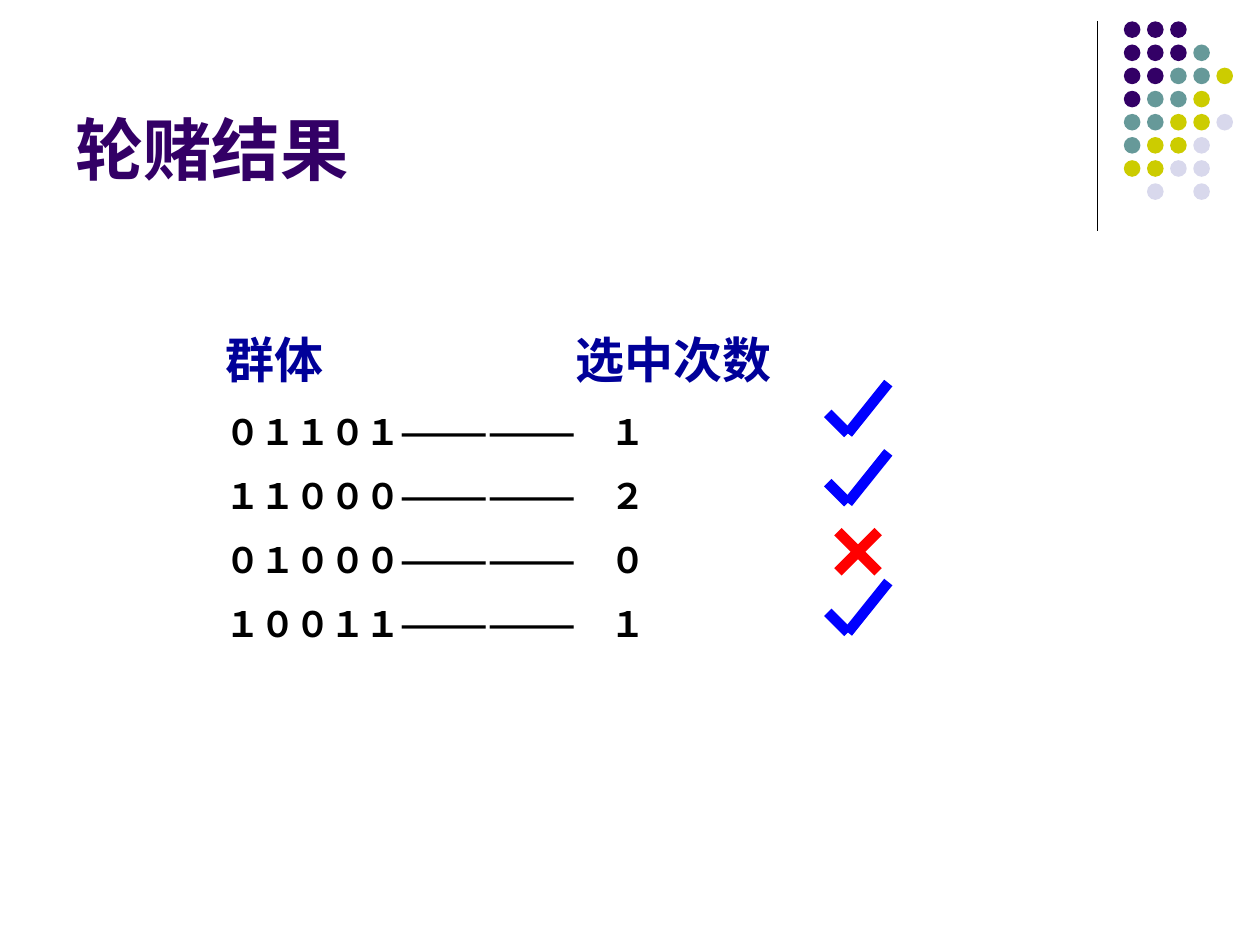
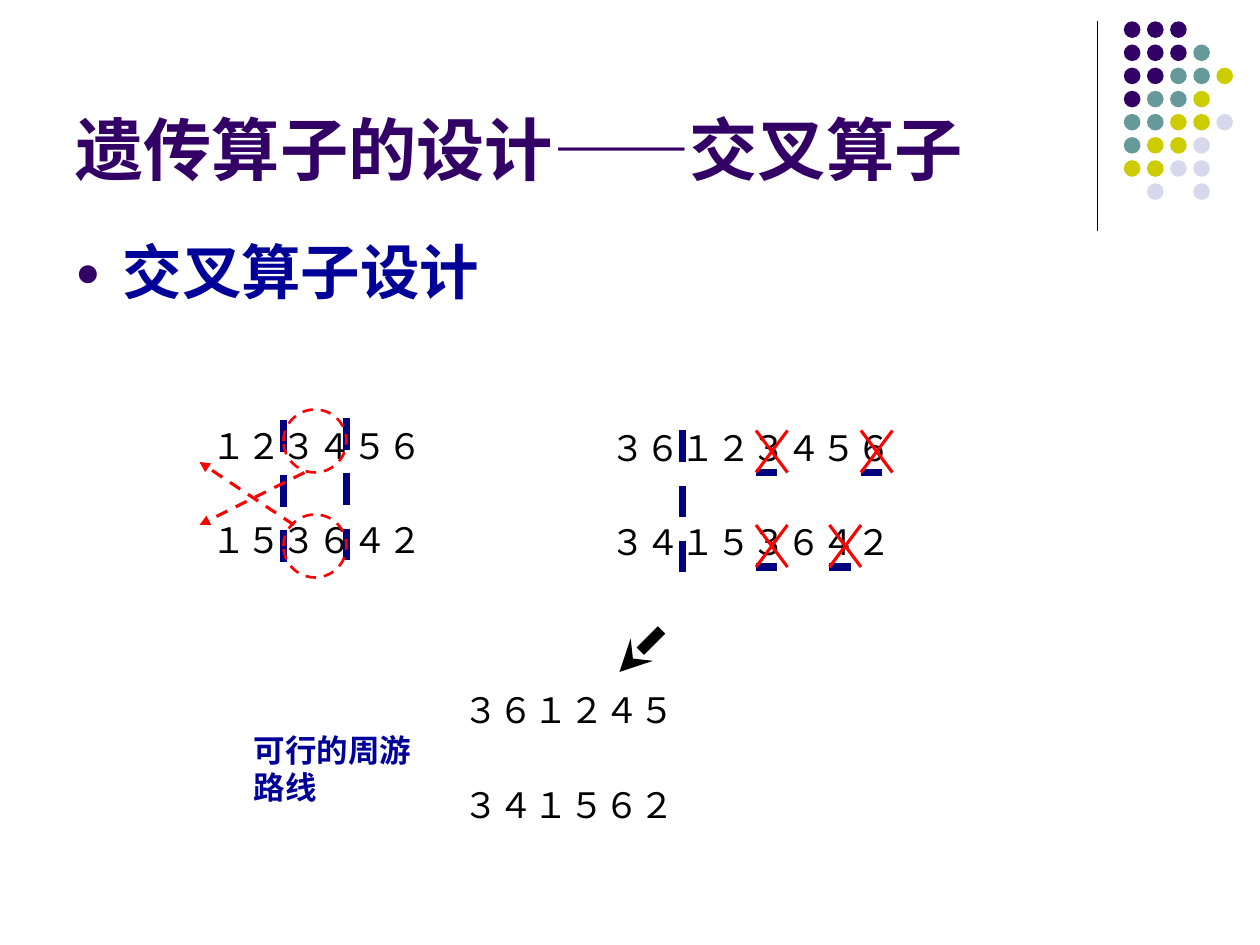
from dataclasses import dataclass
from lxml.etree import SubElement
from pptx import Presentation
from pptx.dml.color import RGBColor
from pptx.enum.dml import MSO_LINE
from pptx.enum.lang import MSO_LANGUAGE_ID
from pptx.enum.shapes import MSO_CONNECTOR, MSO_SHAPE
from pptx.enum.text import MSO_ANCHOR
from pptx.oxml.ns import qn
from pptx.util import Pt


@dataclass(frozen=True)
class Theme:
    font: str = "Arial"
    purple: str = "330066"
    teal: str = "669999"
    olive: str = "CCCC00"
    lilac: str = "D8D8EC"
    navy: str = "000099"
    divider: str = "000080"
    blue: str = "0000FF"
    red: str = "FF0000"
    black: str = "000000"
    title_size: int = 39
    body_size: int = 34
    header_size: int = 28
    label_size: int = 18
    code_size: int = 20


THEME = Theme()

# Corner ornament: one letter per dot colour
DOT_ROWS = ["PPP", "PPPT", "PPTTY", "PTTY", "TTYYL", "TYYL", "YYLL", " L L"]
DOT_COLORS = {"P": THEME.purple, "T": THEME.teal, "Y": THEME.olive, "L": THEME.lilac}
DOT_LEFT, DOT_TOP, DOT_PITCH, DOT_SIZE = 642.2, 12.2, 13.22, 9.5

# Slide 1: code, times selected, top of its mark
ROULETTE_TITLE = "轮赌结果"
ROULETTE_HEADER = "群体\t选中次数"
POPULATION = [
    ("０１１０１", "１", 218.9),
    ("１１０００", "２", 258.5),
    ("０１０００", "０", 303.8),
    ("１００１１", "１", 332.6),
]

# Slide 2: tours as (text, left, top, width)
CROSSOVER_TITLE = "遗传算子的设计——交叉算子"
CROSSOVER_HEADING = "交叉算子设计"
FEASIBLE_LABEL = "可行的周游路线"
TOURS = [
    ("１２３４５６", 114, 239, 180),
    ("１５３６４２", 114, 293, 180),
    ("３６１２３４５６", 342, 240, 198),
    ("３４１５３６４２", 342, 294, 198),
    ("３６１２４５", 258, 390, 180),
    ("３４１５６２", 258, 444, 180),
]
CUT_LINES = [(198, 239), (162, 240), (390, 246)]
CUT_HEIGHT = 84
# Top of the circled segment, then start and end of its arrow
SWAPS = [(294, (168, 300), (114, 264)), (234, (174, 270), (114, 300))]
# Left and baseline of each repeated city
REPEATED_CITIES = [(432, 270), (492, 270), (432, 324), (474, 324)]


def add_text(slide, lines, left, top, width, height, *, size, color=THEME.black,
             bold=False, anchor=MSO_ANCHOR.TOP, before=0, spacing=None,
             tab=None, bullet=None):
    """Add a text box; a line is a string or (string, size, colour)."""
    frame = slide.shapes.add_textbox(Pt(left), Pt(top), Pt(width), Pt(height)).text_frame
    frame.word_wrap = True
    frame.vertical_anchor = anchor
    for index, line in enumerate(lines):
        words, line_size, line_color = (line, size, color) if isinstance(line, str) else line
        paragraph = frame.paragraphs[0] if index == 0 else frame.add_paragraph()
        properties = paragraph._p.get_or_add_pPr()
        if bullet:
            add_bullet(properties, bullet)
        if tab:
            stops = SubElement(properties, qn("a:tabLst"))
            SubElement(stops, qn("a:tab"), pos=str(Pt(tab)), algn="l")
        if index:
            paragraph.space_before = Pt(before)
        if spacing:
            paragraph.line_spacing = spacing
        run = paragraph.add_run()
        run.text = words
        font = run.font
        font.name, font.size, font.bold = THEME.font, Pt(line_size), bold
        font.color.rgb = RGBColor.from_string(line_color)
        font.language_id = MSO_LANGUAGE_ID.SIMPLIFIED_CHINESE


def add_bullet(properties, bullet):
    properties.set("marL", str(Pt(27)))
    properties.set("indent", str(Pt(-27)))
    color = SubElement(properties, qn("a:buClr"))
    SubElement(color, qn("a:srgbClr"), val=THEME.purple)
    SubElement(properties, qn("a:buSzPct"), val="70000")
    SubElement(properties, qn("a:buFont"), typeface=THEME.font)
    SubElement(properties, qn("a:buChar"), char=bullet)


def style_line(line, color, weight, dashed):
    line.color.rgb = RGBColor.from_string(color)
    line.width = Pt(weight)
    if dashed:
        line.dash_style = MSO_LINE.DASH


def add_line(slide, start, end, color, weight, dashed=False, arrow=None):
    connector = slide.shapes.add_connector(
        MSO_CONNECTOR.STRAIGHT, *(Pt(value) for value in (*start, *end)))
    style_line(connector.line, color, weight, dashed)
    if arrow:
        SubElement(connector.line._get_or_add_ln(), qn("a:tailEnd"), type=arrow)
    SubElement(connector._element.spPr, qn("a:effectLst"))


def add_circle(slide, left, top, size, fill=None, outline=None):
    circle = slide.shapes.add_shape(MSO_SHAPE.OVAL, Pt(left), Pt(top), Pt(size), Pt(size))
    circle.shadow.inherit = False
    if fill:
        circle.fill.solid()
        circle.fill.fore_color.rgb = RGBColor.from_string(fill)
    else:
        circle.fill.background()
    if outline:
        style_line(circle.line, outline, 1.5, dashed=True)
    else:
        circle.line.fill.background()


def add_cross(slide, left, top, width, height, weight):
    right, bottom = left + width, top + height
    add_line(slide, (left, top), (right, bottom), THEME.red, weight)
    add_line(slide, (left, bottom), (right, top), THEME.red, weight)


def add_check(slide, left, top):
    corner = (left + 11.5, top + 28.8)
    add_line(slide, (left, top + 17.3), corner, THEME.blue, 6)
    add_line(slide, corner, (left + 34.6, top), THEME.blue, 6)


def add_base_slide(deck, title):
    """Add a blank slide with the corner ornament and its title."""
    slide = deck.slides.add_slide(deck.slide_layouts[6])
    add_line(slide, (627, 12), (627, 132), THEME.black, 0.75)
    for row, letters in enumerate(DOT_ROWS):
        for column, letter in enumerate(letters):
            if letter in DOT_COLORS:
                add_circle(slide, DOT_LEFT + column * DOT_PITCH, DOT_TOP + row * DOT_PITCH,
                           DOT_SIZE, fill=DOT_COLORS[letter])
    add_text(slide, [title], 36, 9.4, 594, 102.2, size=THEME.title_size,
             color=THEME.purple, bold=True, anchor=MSO_ANCHOR.BOTTOM)
    return slide


def build_roulette(deck):
    slide = add_base_slide(deck, ROULETTE_TITLE)
    header = (ROULETTE_HEADER, THEME.header_size, THEME.navy)
    rows = [f"{code}——————\u3000{count}" for code, count, _ in POPULATION]
    add_text(slide, [header, *rows], 121.7, 185, 357, 187, size=THEME.code_size,
             bold=True, before=12.5, tab=200)
    for _, count, mark_top in POPULATION:
        if int(count):
            add_check(slide, 473, mark_top)
        else:
            add_cross(slide, 478.8, mark_top, 23, 23, 6)


def build_crossover(deck):
    slide = add_base_slide(deck, CROSSOVER_TITLE)
    add_text(slide, [CROSSOVER_HEADING], 36, 135.4, 588, 44.6, size=THEME.body_size,
             color=THEME.navy, bold=True, spacing=0.9, bullet="●")
    for tour, left, top, width in TOURS:
        add_text(slide, [tour], left, top, width, 31.7, size=THEME.code_size)
    for x, top in CUT_LINES:
        add_line(slide, (x, top), (x, top + CUT_HEIGHT), THEME.divider, 4.5, dashed=True)
    for circle_top, start, end in SWAPS:
        add_circle(slide, 162, circle_top, 36, outline=THEME.red)
        add_line(slide, start, end, THEME.red, 1.75, dashed=True, arrow="triangle")
    for left, base in REPEATED_CITIES:
        add_line(slide, (left, base), (left + 12, base), THEME.divider, 4.5)
        add_cross(slide, left, base - 24, 18, 24, 1.75)
    add_line(slide, (378, 360), (354, 384), THEME.black, 6, arrow="stealth")
    add_text(slide, [FEASIBLE_LABEL], 138, 414, 108, 50.4, size=THEME.label_size,
             color=THEME.navy, bold=True)


def main():
    deck = Presentation()
    deck.slide_width, deck.slide_height = Pt(720), Pt(540)
    build_roulette(deck)
    build_crossover(deck)
    deck.save("out.pptx")


if __name__ == "__main__":
    main()
